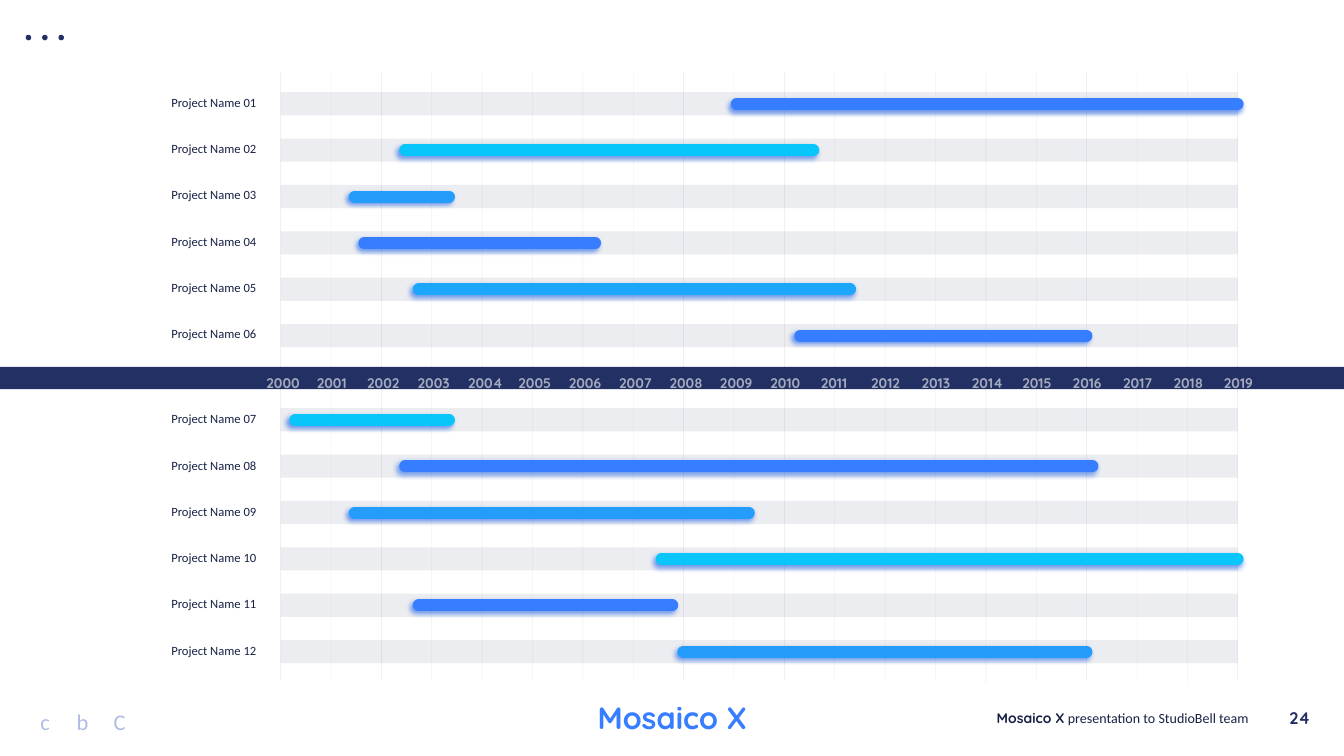
from typing import NamedTuple

from pptx import Presentation
from pptx.dml.color import RGBColor
from pptx.enum.shapes import MSO_CONNECTOR, MSO_SHAPE
from pptx.enum.text import MSO_ANCHOR, MSO_AUTO_SIZE, PP_ALIGN
from pptx.oxml.ns import qn
from pptx.util import Inches, Pt
from lxml.etree import SubElement

HUES = {
    "ink": "172144", "navy": "223063", "blue": "377DFF", "cyan": "08C6F9",
    "sky": "239CFC", "azure": "1CA7FC", "pale": "B1BCE5", "white": "FFFFFF",
    "shade": "0051E9",
}
HEAD, BODY = "Quicksand", "Calibri"
LEFT, YEARS, PITCH = 5.57, range(2000, 2020), 0.9995  # time axis
STEP, DEPTH = 0.92, 0.46  # project rows


class Bar(NamedTuple):
    start: float
    end: float
    hue: str


class Run(NamedTuple):
    text: str
    size: float
    hue: str
    font: str = BODY
    bold: bool = False


class Block(NamedTuple):
    top: float
    label: float
    bars: list[Bar]


BLOCKS = [
    Block(1.83, 1.83, [
        Bar(14.62, 24.56, "blue"), Bar(8.04, 16.14, "cyan"),
        Bar(7.04, 8.91, "sky"), Bar(7.23, 11.81, "blue"),
        Bar(8.31, 16.87, "azure"), Bar(15.88, 21.56, "blue"),
    ]),
    Block(8.1, 8.11, [
        Bar(5.86, 8.91, "cyan"), Bar(8.04, 21.68, "blue"),
        Bar(7.04, 14.86, "sky"), Bar(13.13, 24.56, "cyan"),
        Bar(8.31, 13.34, "blue"), Bar(13.56, 21.56, "sky"),
    ]),
]


def tint(hue: str) -> RGBColor:
    return RGBColor.from_string(HUES[hue])


def fade(node, share: int) -> None:
    """Set the opacity, in percent, of each colour under a node."""
    for color in node.iter(qn("a:srgbClr")):
        SubElement(color, qn("a:alpha")).set("val", str(share * 1000))


def add_text(slide, at: tuple, runs: list[Run], align=PP_ALIGN.LEFT,
             anchor=MSO_ANCHOR.TOP, wrap: bool = False, grow: bool = True):
    box = slide.shapes.add_textbox(*map(Inches, at))
    frame = box.text_frame
    frame.word_wrap = wrap
    frame.auto_size = MSO_AUTO_SIZE.SHAPE_TO_FIT_TEXT if grow else MSO_AUTO_SIZE.NONE
    frame.vertical_anchor = anchor
    para = frame.paragraphs[0]
    para.alignment = align
    for item in runs:
        run = para.add_run()
        run.text = item.text
        run.font.name = item.font
        run.font.size = Pt(item.size)
        run.font.bold = item.bold
        run.font.color.rgb = tint(item.hue)
    return para


def add_block(slide, kind, at: tuple, hue: str, share: int = 100) -> None:
    shape = slide.shapes.add_shape(kind, *map(Inches, at))
    shape.shadow.inherit = False
    shape.fill.solid()
    shape.fill.fore_color.rgb = tint(hue)
    shape.line.fill.background()
    if share < 100:
        fade(shape._element.spPr, share)


def add_line(slide, start: tuple, end: tuple, hue: str, width: float):
    """Draw a line and return its properties and its empty effect list."""
    line = slide.shapes.add_connector(
        MSO_CONNECTOR.STRAIGHT, *map(Inches, start + end))
    line.line.color.rgb = tint(hue)
    line.line.width = Pt(width)
    props = line._element.spPr
    return props, SubElement(props, qn("a:effectLst"))


def add_bar(slide, bar: Bar, mid: float) -> None:
    props, effects = add_line(slide, (bar.start, mid), (bar.end, mid), bar.hue, 17)
    props.find(qn("a:ln")).set("cap", "rnd")
    shadow = SubElement(effects, qn("a:outerShdw"), blurRad=str(Pt(7)),
                        dist=str(Pt(5)), dir=str(135 * 60000),
                        algn="tr", rotWithShape="0")
    SubElement(shadow, qn("a:srgbClr")).set("val", HUES["shade"])
    fade(shadow, 55)


def add_frame(slide) -> None:
    # Footer
    add_text(slide, (19.68, 14.03, 5.28, 0.44), [
        Run("Mosaico X", 20, "ink", HEAD, True),
        Run(" presentation to StudioBell team", 20, "ink"),
    ], anchor=MSO_ANCHOR.MIDDLE)
    add_text(slide, (25.62, 13.93, 0.35, 0.64),
             [Run("24", 24, "navy", HEAD, True)],
             PP_ALIGN.CENTER, MSO_ANCHOR.MIDDLE, grow=False)
    add_text(slide, (10.94, 13.82, 4.8, 0.84),
             [Run("Mosaico X", 44, "blue", HEAD, True)],
             PP_ALIGN.CENTER, wrap=True)
    for i, mark in enumerate("cbC"):
        add_text(slide, (0.57 + 0.74 * i, 13.99, 0.65, 0.64),
                 [Run(mark, 32, "pale")], PP_ALIGN.CENTER, MSO_ANCHOR.MIDDLE)
    # Corner dots
    for i in range(3):
        add_block(slide, MSO_SHAPE.OVAL, (0.51 + 0.325 * i, 0.69, 0.11, 0.11), "navy")


def add_axis(slide) -> None:
    # Year lines
    for i, year in enumerate(YEARS):
        x = LEFT + PITCH * i
        top = 1.46 if year in (2014, 2018) else 1.42
        props, _ = add_line(slide, (x, top), (x, top + 12.08), "ink", 0.5)
        fade(props, 10)
    # Year band
    add_block(slide, MSO_SHAPE.RECTANGLE, (0, 7.28, 26.67, 0.44), "navy")
    para = add_text(slide, (3.16, 7.05, 21.8, 0.67),
                    [Run("\t".join(map(str, YEARS)), 20, "white", HEAD, True)],
                    PP_ALIGN.RIGHT, wrap=True)
    para.line_spacing = 2.0
    tabs = SubElement(para._p.get_or_add_pPr(), qn("a:tabLst"))
    for i in range(1, len(YEARS)):
        SubElement(tabs, qn("a:tab"), pos=str(Inches(i)), algn="l")
    fade(para._p, 58)


def add_rows(slide) -> None:
    count = 0
    for block in BLOCKS:
        for i, bar in enumerate(block.bars):
            count += 1
            top = block.top + STEP * i
            add_block(slide, MSO_SHAPE.RECTANGLE, (LEFT, top, 18.99, DEPTH), "ink", 8)
            add_text(slide, (3.3, block.label + 0.918 * i, 1.91, 0.4),
                     [Run(f"Project Name {count:02}", 18, "ink")])
            add_bar(slide, bar, top + DEPTH / 2)


def main() -> None:
    deck = Presentation()
    deck.slide_width, deck.slide_height = Inches(26.67), Inches(15)
    slide = deck.slides.add_slide(deck.slide_layouts[6])
    add_frame(slide)
    add_axis(slide)
    add_rows(slide)
    deck.save("out.pptx")


if __name__ == "__main__":
    main()
